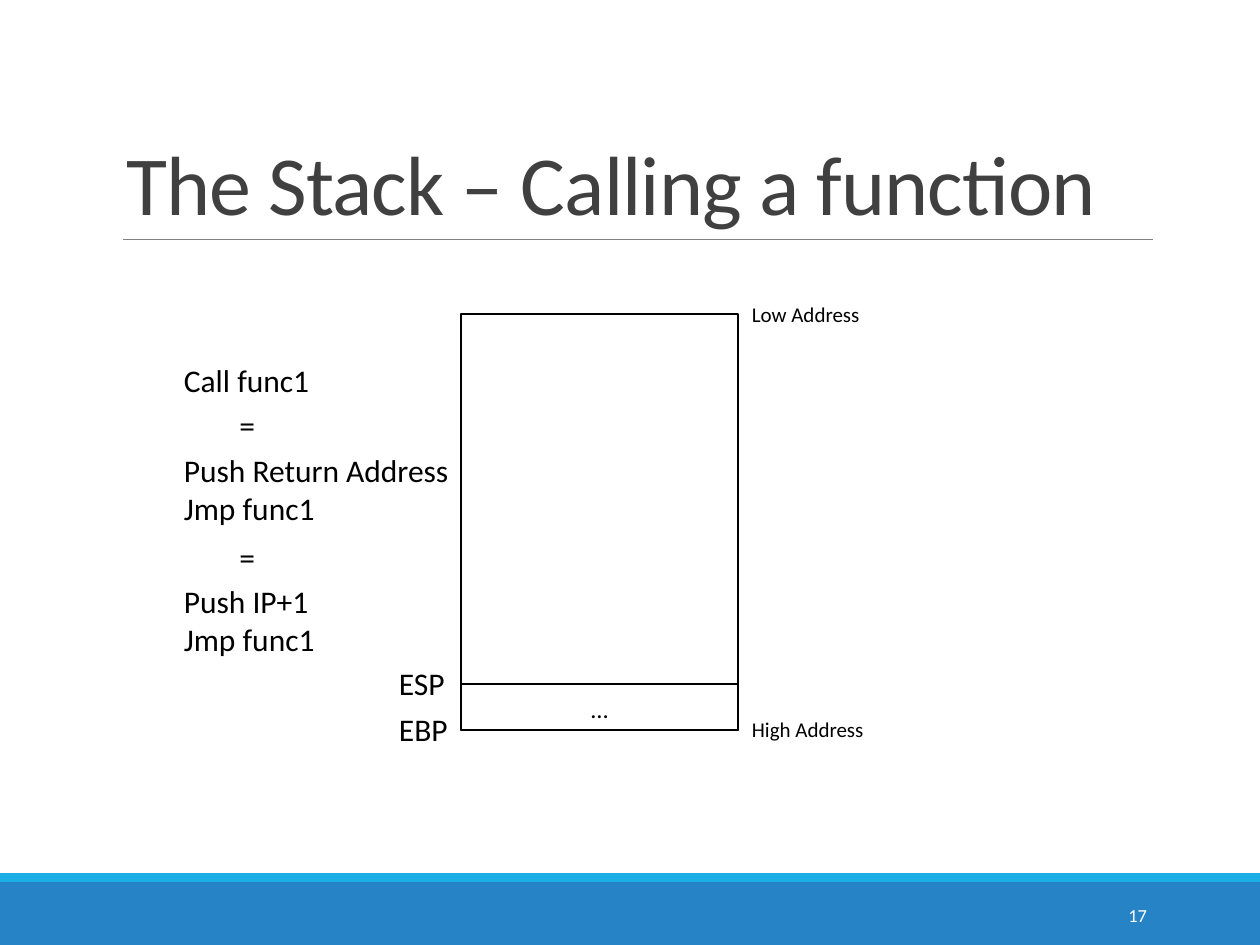
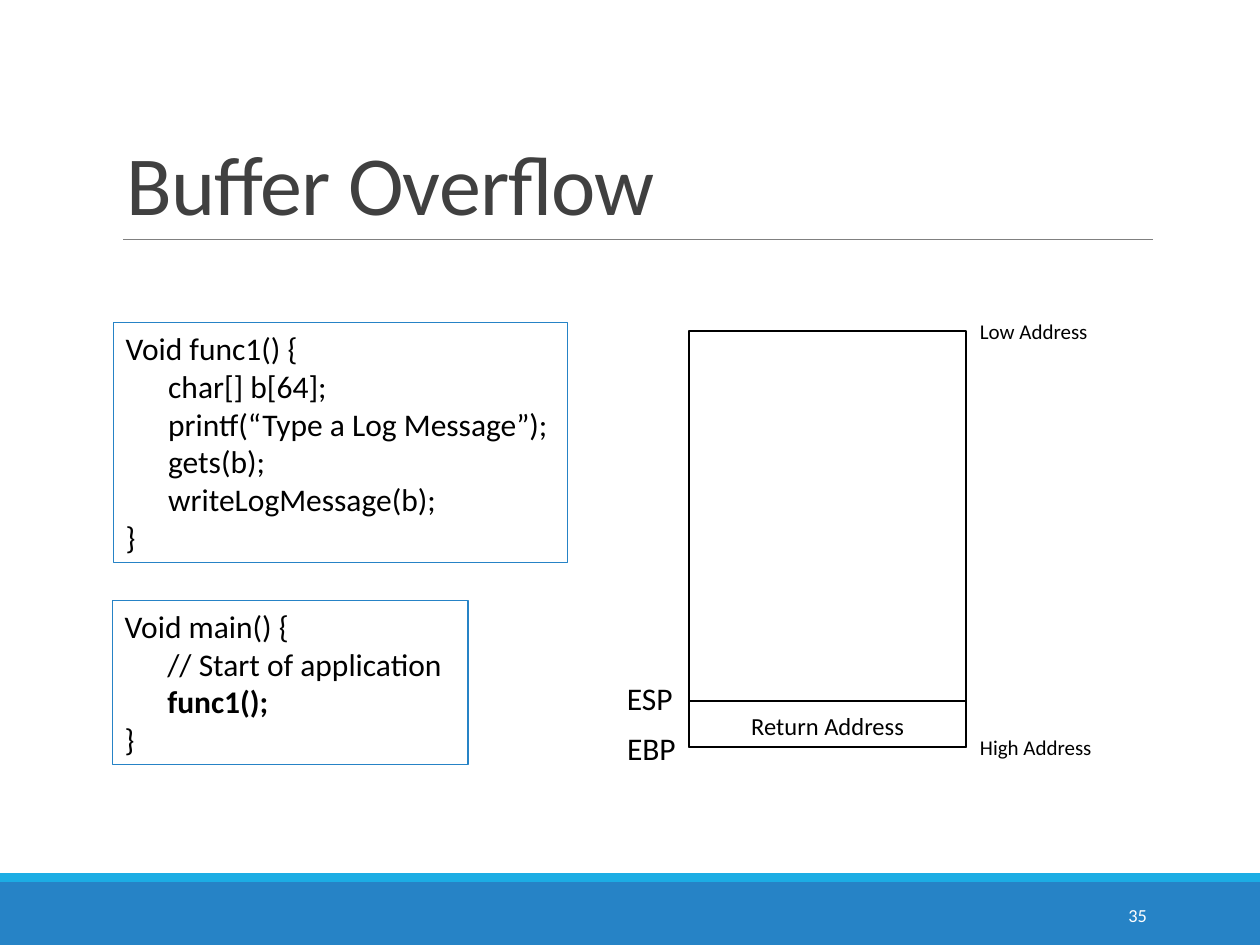
from pptx import Presentation
from pptx.dml.color import RGBColor
from pptx.enum.shapes import MSO_CONNECTOR, MSO_SHAPE
from pptx.enum.text import MSO_ANCHOR as Anchor, MSO_AUTO_SIZE as AutoSize, PP_ALIGN as Align
from pptx.oxml.ns import qn
from pptx.util import Pt
from lxml.etree import SubElement

COLORS = {
    "band": "2683C6",
    "stripe": "1CADE4",
    "rule": "808080",
    "title": "404040",
    "ink": "000000",
    "white": "FFFFFF",
}
FONT = "Calibri"
SLIDE_WIDTH, SLIDE_HEIGHT = 720, 540
STACK_WIDTH, STACK_HEIGHT, CELL_HEIGHT = 158.4, 237.6, 26
ADDRESS_HEIGHT = 21.6
LINE_HEIGHT = 21.6
BOX_PADDING = 7.2


def color(name):
    return RGBColor.from_string(COLORS[name])


def style_paragraph(paragraph, size, color_name="ink", align=Align.LEFT, bold=False):
    paragraph.alignment = align
    font = paragraph.font
    font.name, font.size, font.bold = FONT, Pt(size), bold
    font.color.rgb = color(color_name)


def add_rectangle(slide, left, top, width, height, fill=None, line=None):
    shape = slide.shapes.add_shape(
        MSO_SHAPE.RECTANGLE, Pt(left), Pt(top), Pt(width), Pt(height))
    shape.shadow.inherit = False
    if fill:
        shape.fill.solid()
        shape.fill.fore_color.rgb = color(fill)
    else:
        shape.fill.background()
    if line:
        shape.line.color.rgb = color(line)
        shape.line.width = Pt(1.25)
    else:
        shape.line.fill.background()
    return shape


def add_label(slide, left, top, width, lines, size=18, wrap=False, bold_line=None):
    height = len(lines) * size * 1.2 + BOX_PADDING
    box = slide.shapes.add_textbox(Pt(left), Pt(top), Pt(width), Pt(height))
    frame = box.text_frame
    frame.word_wrap = wrap
    frame.auto_size = AutoSize.SHAPE_TO_FIT_TEXT
    frame.text = "\n".join(lines)
    for index, paragraph in enumerate(frame.paragraphs):
        style_paragraph(paragraph, size, bold=index == bold_line)
    return box


def add_code_box(slide, left, top, width, lines, bold_line=None):
    box = add_label(slide, left, top, width, lines, bold_line=bold_line)
    box.line.color.rgb = color("band")
    box.line.width = Pt(0.75)


def add_title(slide, text):
    title = slide.shapes.title
    title.left, title.top, title.width, title.height = Pt(65), Pt(22.3), Pt(594), Pt(114.5)
    frame = title.text_frame
    frame.text = text
    frame.word_wrap = True
    frame.auto_size = AutoSize.NONE
    frame.vertical_anchor = Anchor.BOTTOM
    paragraph = frame.paragraphs[0]
    paragraph.line_spacing = 0.85
    style_paragraph(paragraph, 48, "title")
    paragraph.runs[0].font._element.set("spc", "-50")


def add_title_rule(slide):
    rule = slide.shapes.add_connector(
        MSO_CONNECTOR.STRAIGHT, Pt(70.5), Pt(136.8), Pt(659), Pt(136.8))
    rule.line.color.rgb = color("rule")
    rule.line.width = Pt(0.5)
    SubElement(rule._element.spPr, qn("a:effectLst"))


def add_page_number(slide, number):
    box = slide.shapes.add_textbox(Pt(584.6), Pt(508.5), Pt(77.8), Pt(28.75))
    frame = box.text_frame
    frame.word_wrap = True
    frame.vertical_anchor = Anchor.MIDDLE
    frame.text = str(number)
    style_paragraph(frame.paragraphs[0], 10.5, "white", Align.RIGHT)


def add_base_slide(presentation, title, number):
    slide = presentation.slides.add_slide(presentation.slide_layouts[5])
    add_rectangle(slide, 0, 504, SLIDE_WIDTH, 36, fill="band")
    add_rectangle(slide, 0, 499, SLIDE_WIDTH, 5, fill="stripe")
    add_title_rule(slide)
    add_title(slide, title)
    add_page_number(slide, number)
    return slide


def add_stack(slide, left, top, cell_text, esp_top, ebp_top):
    right, bottom = left + STACK_WIDTH, top + STACK_HEIGHT
    add_rectangle(slide, left, top, STACK_WIDTH, STACK_HEIGHT, line="ink")
    cell = add_rectangle(
        slide, left, bottom - CELL_HEIGHT, STACK_WIDTH, CELL_HEIGHT, line="ink")
    frame = cell.text_frame
    frame.vertical_anchor = Anchor.BOTTOM
    frame.text = cell_text
    style_paragraph(frame.paragraphs[0], 14, align=Align.CENTER)
    for text, edge, width in (("Low Address", top, 77), ("High Address", bottom, 79)):
        add_label(slide, right + 0.7, edge - ADDRESS_HEIGHT / 2, width, [text], size=12)
    for text, register_top, width in (("ESP", esp_top, 41), ("EBP", ebp_top, 42.5)):
        add_label(slide, left - 42.6, register_top, width, [text])


def add_call_expansion(slide):
    left, width = 98, 167.8
    add_label(slide, left, 202.5, 87, ["Call func1"])
    add_label(slide, left, 254.3, width, ["Push Return Address", "Jmp func1"])
    add_label(slide, left, 329.2, width, ["Push IP+1", "Jmp func1"], wrap=True)
    for top in (228.3, 304):
        add_label(slide, 129.8, top, 23.8, ["="])


def build_calling_slide(presentation):
    slide = add_base_slide(presentation, "The Stack – Calling a function", 17)
    add_stack(slide, 263.5, 179.4, "…", esp_top=376, ebp_top=402)
    add_call_expansion(slide)


def build_overflow_slide(presentation):
    slide = add_base_slide(presentation, "Buffer Overflow", 35)
    add_code_box(slide, 64.7, 184.5, 259.7, [
        "Void func1() {",
        "      char[] b[64];",
        "      printf(“Type a Log Message”);",
        "      gets(b);",
        "      writeLogMessage(b);",
        "}",
    ])
    add_code_box(slide, 64.2, 343.2, 203.3, [
        "Void main() {",
        "      // Start of application",
        "      func1();",
        "}",
    ], bold_line=2)
    add_stack(slide, 393.8, 189.2, "Return Address", esp_top=384.5, ebp_top=413)


def main():
    presentation = Presentation()
    presentation.slide_width, presentation.slide_height = Pt(SLIDE_WIDTH), Pt(SLIDE_HEIGHT)
    build_calling_slide(presentation)
    build_overflow_slide(presentation)
    presentation.save("out.pptx")


if __name__ == "__main__":
    main()
